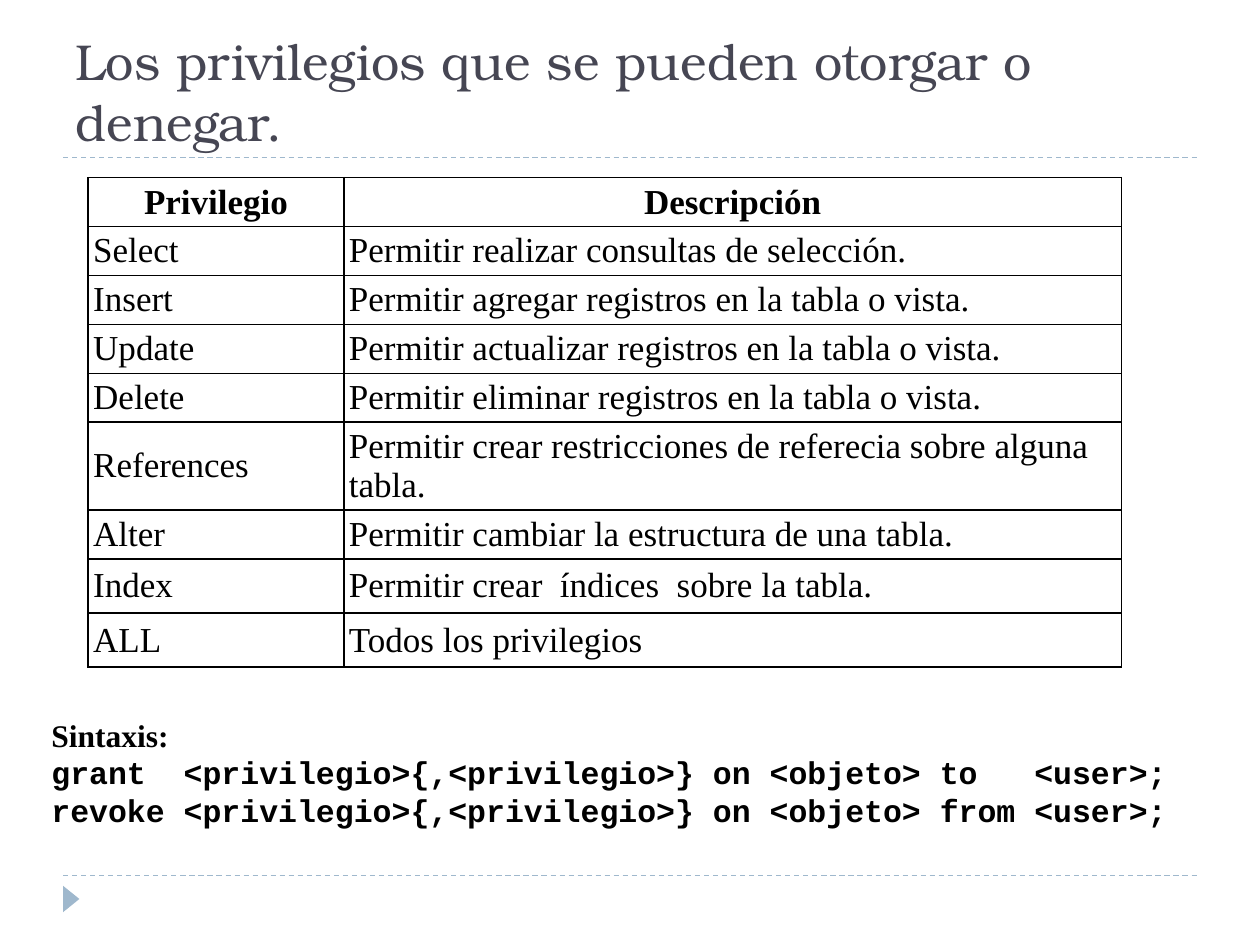
from dataclasses import dataclass

from lxml.etree import SubElement
from pptx import Presentation
from pptx.dml.color import RGBColor
from pptx.enum.dml import MSO_LINE_DASH_STYLE as DASH
from pptx.enum.shapes import MSO_CONNECTOR, MSO_SHAPE
from pptx.enum.text import MSO_ANCHOR as ANCHOR, MSO_AUTO_SIZE as AUTOSIZE, PP_ALIGN as ALIGN
from pptx.oxml import parse_xml
from pptx.oxml.ns import nsdecls, qn
from pptx.util import Inches, Pt


@dataclass(frozen=True)
class Theme:
    title: str = "464653"
    accent: str = "9FB8CD"
    ink: str = "000000"
    title_font: str = "TeX Gyre Bonum"
    body_font: str = "Times New Roman"
    code_font: str = "Courier New"
    title_size: float = 28.8
    table_size: int = 20
    syntax_size: int = 18


THEME = Theme()
COL_WIDTHS = [2.03, 6.17]
ROW_HEIGHTS = [0.38] * 5 + [0.52, 0.38, 0.43, 0.43]
PRIVILEGES = [
    ("Privilegio", "Descripción"),
    ("Select", "Permitir realizar consultas de selección."),
    ("Insert", "Permitir agregar registros en la tabla o vista."),
    ("Update", "Permitir actualizar registros en la tabla o vista."),
    ("Delete", "Permitir eliminar registros en la tabla o vista."),
    ("References", "Permitir crear restricciones de referecia sobre alguna tabla."),
    ("Alter", "Permitir cambiar la estructura de una tabla."),
    ("Index", "Permitir crear  índices  sobre la tabla."),
    ("ALL", "Todos los privilegios"),
]
SYNTAX = [
    ("Sintaxis:", THEME.body_font),
    ("grant  <privilegio>{,<privilegio>} on <objeto> to   <user>;", THEME.code_font),
    ("revoke <privilegio>{,<privilegio>} on <objeto> from <user>;", THEME.code_font),
]


def set_attrs(obj, values):
    for name, value in values.items():
        setattr(obj, name, value)


def write(p, text, font, size, color, bold=False, align=ALIGN.LEFT):
    p.alignment = align
    r = p.add_run()
    r.text = text
    set_attrs(r.font, {"name": font, "size": Pt(size), "bold": bold})
    r.font.color.rgb = RGBColor.from_string(color)


def add_title(s, text):
    sp = s.shapes.title
    set_attrs(sp, {"left": Inches(0.5), "top": Inches(0.17),
                   "width": Inches(9), "height": Inches(1.08)})
    tf = sp.text_frame
    set_attrs(tf, {"word_wrap": True, "auto_size": AUTOSIZE.NONE,
                   "vertical_anchor": ANCHOR.BOTTOM})
    write(tf.paragraphs[0], text, THEME.title_font, THEME.title_size, THEME.title)


def add_rule(s, y):
    line = s.shapes.add_connector(MSO_CONNECTOR.STRAIGHT, Inches(0.5), Inches(y),
                                  Inches(9.5), Inches(y))
    set_attrs(line.line, {"width": Pt(0.75), "dash_style": DASH.DASH})
    line.line.color.rgb = RGBColor.from_string(THEME.accent)
    SubElement(line._element.spPr, qn("a:effectLst"))


def add_marker(s):
    sp = s.shapes.add_shape(MSO_SHAPE.ISOSCELES_TRIANGLE, Inches(0.46), Inches(7.07),
                            Inches(0.21), Inches(0.13))
    sp.rotation = 90
    sp.shadow.inherit = False
    sp.fill.solid()
    sp.fill.fore_color.rgb = RGBColor.from_string(THEME.accent)
    sp.line.fill.background()


def add_borders(cell):
    tc_pr = cell._tc.get_or_add_tcPr()
    for i, side in enumerate("LRTB"):
        tc_pr.insert(i, parse_xml(
            f'<a:ln{side} {nsdecls("a")} w="{Pt(1)}"><a:solidFill>'
            f'<a:srgbClr val="{THEME.ink}"/></a:solidFill></a:ln{side}>'))


def add_privileges(s):
    frame = s.shapes.add_table(len(PRIVILEGES), len(COL_WIDTHS), Inches(0.7), Inches(1.41),
                               Inches(sum(COL_WIDTHS)), Inches(sum(ROW_HEIGHTS)))
    table = frame.table
    set_attrs(table, {"first_row": False, "horz_banding": False})
    for col, width in zip(table.columns, COL_WIDTHS):
        col.width = Inches(width)
    margins = {f"margin_{side}": Inches(0.04) for side in ("left", "right", "top", "bottom")}
    for i, (row, height, texts) in enumerate(zip(table.rows, ROW_HEIGHTS, PRIVILEGES)):
        row.height = Inches(height)
        header = i == 0
        for cell, text in zip(row.cells, texts):
            set_attrs(cell, {"vertical_anchor": ANCHOR.MIDDLE, **margins})
            cell.fill.background()
            add_borders(cell)
            write(cell.text_frame.paragraphs[0], text, THEME.body_font, THEME.table_size,
                  THEME.ink, header, ALIGN.CENTER if header else ALIGN.LEFT)


def add_syntax(s):
    tf = s.shapes.add_textbox(Inches(0.31), Inches(5.63), Inches(9.3), Inches(1.01)).text_frame
    set_attrs(tf, {"word_wrap": True, "auto_size": AUTOSIZE.SHAPE_TO_FIT_TEXT})
    for i, (text, font) in enumerate(SYNTAX):
        p = tf.add_paragraph() if i else tf.paragraphs[0]
        write(p, text, font, THEME.syntax_size, THEME.ink, bold=True)


def main():
    prs = Presentation()
    set_attrs(prs, {"slide_width": Inches(10), "slide_height": Inches(7.5)})
    s = prs.slides.add_slide(prs.slide_layouts[5])
    for y in (6.95, 1.25):
        add_rule(s, y)
    add_marker(s)
    add_title(s, "Los privilegios que se pueden otorgar o denegar.")
    add_privileges(s)
    add_syntax(s)
    prs.save("out.pptx")


if __name__ == "__main__":
    main()
